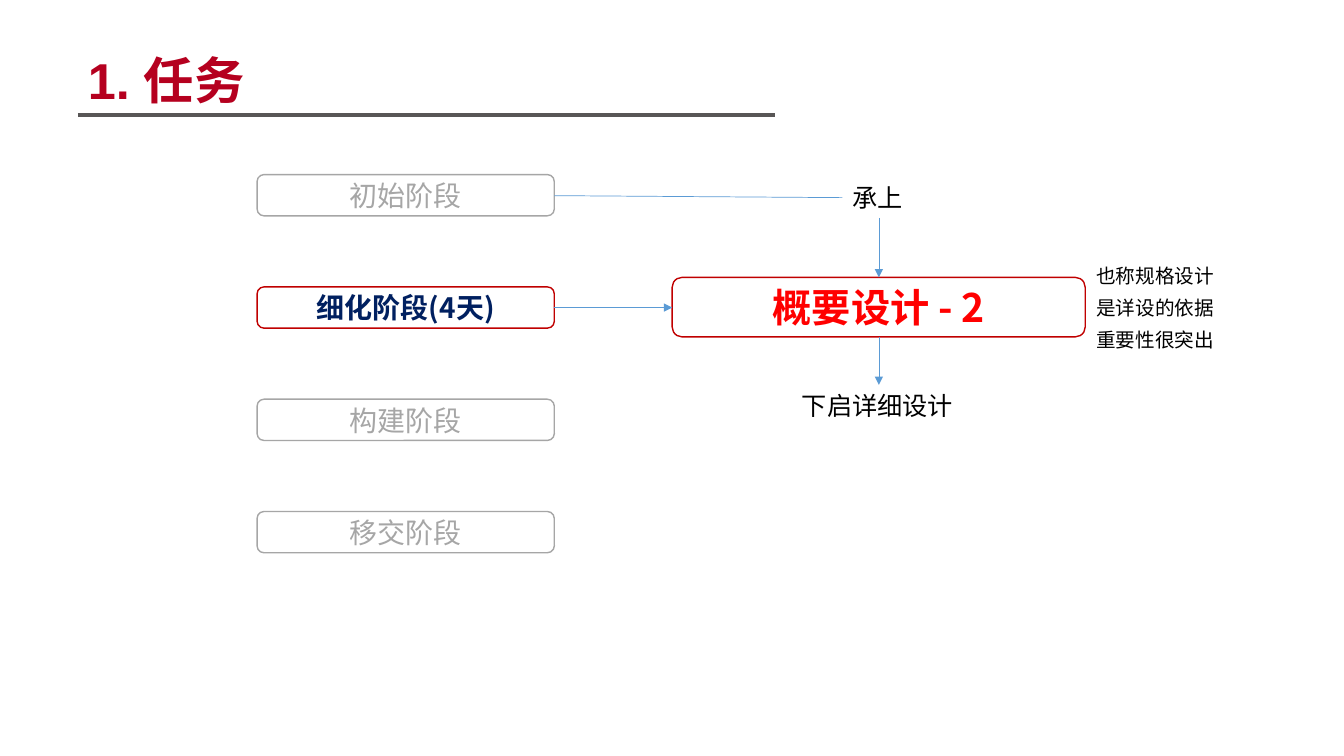
"""Build the task slide: four project phases and the place of the outline design."""
from lxml import etree
from pptx import Presentation
from pptx import util as u
from pptx.dml.color import RGBColor
from pptx.enum import shapes, text
from pptx.oxml.ns import qn

Cm, Pt = u.Cm, u.Pt
CJK = "Noto Sans CJK SC"
GREY, RED, BLUE = "A6A6A6", "C00000", "5B9BD5"


def write(shape, lines, size, color, bold=False, font=CJK, align="CENTER", wrap=True):
    frame = shape.text_frame
    frame.word_wrap = wrap
    frame.auto_size = text.MSO_AUTO_SIZE.NONE
    frame.vertical_anchor = text.MSO_ANCHOR.MIDDLE
    for i, line in enumerate(lines):
        para = frame.add_paragraph() if i else frame.paragraphs[0]
        para.alignment = getattr(text.PP_ALIGN, align)
        if len(lines) > 1:
            para.space_before = Pt(6)
            para.line_spacing = Pt(17)
        run = para.add_run()
        run.text = line
        run.font.size = Pt(size)
        run.font.bold = bold
        run.font.name = font
        run.font.color.rgb = RGBColor.from_string(color)
        east = etree.SubElement(run.font._element, qn("a:ea"))
        east.set("typeface", CJK)


def link(x1, y1, x2, y2, color=BLUE, width=0.5, arrow=False):
    line = slide.shapes.add_connector(
        shapes.MSO_CONNECTOR.STRAIGHT, Cm(x1), Cm(y1), Cm(x2), Cm(y2))
    line.line.color.rgb = RGBColor.from_string(color)
    line.line.width = Pt(width)
    if arrow:
        tail = etree.SubElement(line.line._get_or_add_ln(), qn("a:tailEnd"))
        tail.set("type", "triangle")
    etree.SubElement(line._element.spPr, qn("a:effectLst"))


prs = Presentation()
prs.slide_width, prs.slide_height = Cm(33.87), Cm(19.05)
slide = prs.slides.add_slide(prs.slide_layouts[5])

title = slide.shapes.title
title.left, title.top, title.width, title.height = Cm(1.96), Cm(1.09), Cm(22.1), Cm(1.8)
write(title, ["1. 任务"], 36, "B5001F", True, "Arial", "LEFT")
link(1.96, 2.9, 19.53, 2.9, "585656", 3)

boxes = [("概要设计 - 2", 16.94, 6.99, 10.41, 1.5, 28, RED, "FF0000", True)]
phases = ["初始阶段", "细化阶段(4天)", "构建阶段", "移交阶段"]
for i, phase in enumerate(phases):
    now = i == 1
    boxes.append((phase, 6.48, 4.4 + 2.83 * i, 7.49, 1.04, 20,
                  RED if now else GREY, "002060" if now else GREY, now))

for label, x, y, w, h, size, edge, color, bold in boxes:
    box = slide.shapes.add_shape(
        shapes.MSO_SHAPE.ROUNDED_RECTANGLE, Cm(x), Cm(y), Cm(w), Cm(h))
    box.shadow.inherit = False
    box.fill.background()
    box.line.color.rgb = RGBColor.from_string(edge)
    box.line.width = Pt(1)
    write(box, [label], size, color, bold)

notes = [
    (["承上"], 21.23, 4.47, 1.8, 1.02, 18),
    (["下启详细设计"], 19.96, 9.7, 4.37, 1.02, 18),
    (["也称规格设计", "是详设的依据", "重要性很突出"], 27.38, 6.5, 3.51, 2.49, 14),
]
for lines, x, y, w, h, size in notes:
    note = slide.shapes.add_textbox(Cm(x), Cm(y), Cm(w), Cm(h))
    write(note, lines, size, "000000", align="LEFT", wrap=False)

link(13.97, 4.93, 21.23, 4.98)
link(13.97, 7.75, 16.94, 7.75, arrow=True)
link(22.15, 5.49, 22.15, 6.99, arrow=True)
link(22.15, 8.5, 22.15, 9.7, arrow=True)

prs.save("out.pptx")
